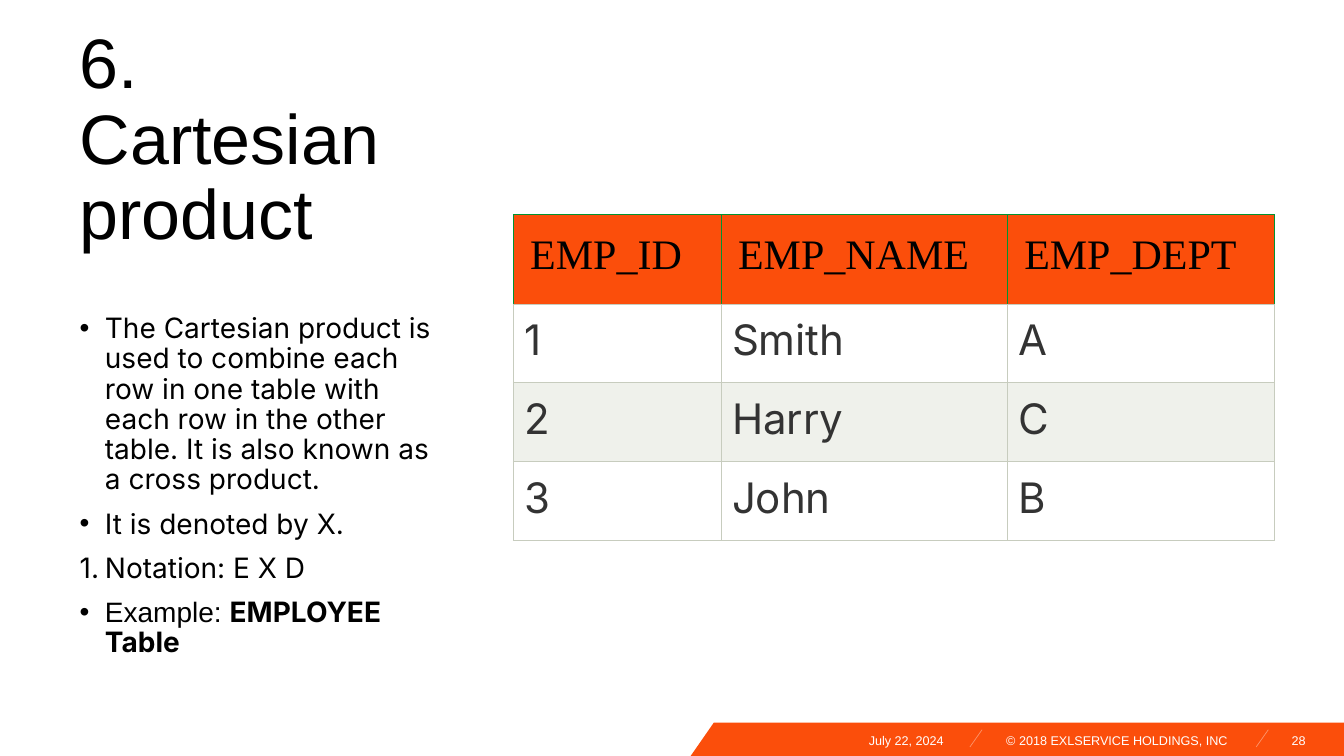
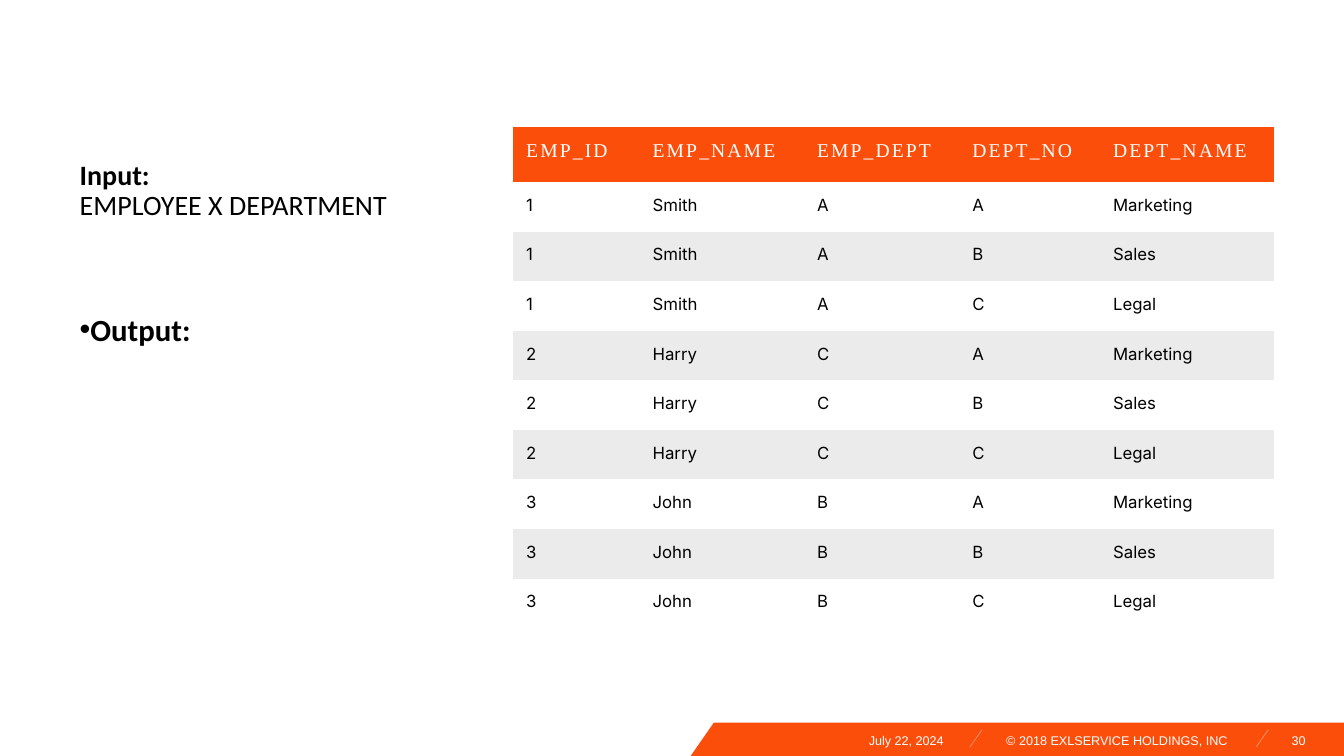
from lxml import etree
from pptx import Presentation
from pptx.dml.color import RGBColor
from pptx.enum.shapes import MSO_CONNECTOR
from pptx.enum.text import MSO_ANCHOR, MSO_AUTO_SIZE, PP_ALIGN
from pptx.oxml.ns import qn
from pptx.util import Inches, Pt

LEFT, RIGHT, JUST = PP_ALIGN.LEFT, PP_ALIGN.RIGHT, PP_ALIGN.JUSTIFY
TOP, BOTTOM = MSO_ANCHOR.TOP, MSO_ANCHOR.BOTTOM
FIXED = MSO_AUTO_SIZE.NONE
STRAIGHT = MSO_CONNECTOR.STRAIGHT
PLAIN = "{2D5ABB26-0587-4C30-8999-92F81FD0307C}"  # table style without grid

HUES = {
    "brand": "FB4E0B", "slash": "FC946B", "ink": "000000", "white": "FFFFFF",
    "text": "333333", "sage": "EFF1EB", "gray": "EBEBEB",
    "rule": "C7CCBE", "green": "009332",
}
RGB = {name: RGBColor.from_string(code) for name, code in HUES.items()}

deck = Presentation()
deck.slide_width, deck.slide_height = Inches(13.33), Inches(7.5)
WIDE, HIGH = deck.slide_width, deck.slide_height


def area(x, y, *size):
    """Turn percentages of the slide's width and height into lengths."""
    return [round(share * (HIGH if i % 2 else WIDE) / 100)
            for i, share in enumerate((x, y, *size))]


def write(frame, text, size=20, font="Arial", hue="ink", bold=False,
          align=LEFT, mark=None, hang=0, lead=1, gap=0, track=0, join=False):
    """Add a paragraph, or with join another run to the last one."""
    para = frame.paragraphs[-1]
    if not join:
        first = not para.runs
        if not first:
            para = frame.add_paragraph()
        para.alignment, para.line_spacing = align, lead
        para.space_before = Pt(0 if first else gap)
        if mark:
            props = para._p.get_or_add_pPr()
            props.set("marL", str(Inches(hang)))
            props.set("indent", str(-Inches(hang)))
            if mark == "1.":
                etree.SubElement(props, qn("a:buFontTx"))
                etree.SubElement(props, qn("a:buAutoNum"), type="arabicPeriod")
            else:
                etree.SubElement(props, qn("a:buChar"), char=mark)
    run = para.add_run()
    run.text = text
    run.font.size, run.font.name, run.font.bold = Pt(size), font, bold
    run.font.color.rgb = RGB[hue]
    if track:
        run._r.get_or_add_rPr().set("spc", str(track))


# Content of the two slides
staff = [("1", "Smith", "A"), ("2", "Harry", "C"), ("3", "John", "B")]
units = [("A", "Marketing"), ("B", "Sales"), ("C", "Legal")]
heads = ["EMP_ID", "EMP_NAME", "EMP_DEPT"]
body = dict(font="Inter", mark="•", hang=0.25, lead=0.9, gap=10)
input_style = dict(font="Calibri", lead=0.9)

pages = [
    dict(
        num="28", foot=0.05,
        title=[("6. Cartesian product", dict(size=50, lead=0.9))],
        list=[
            ("The Cartesian product is used to combine each row in one table "
             "with each row in the other table. It is also known as a cross "
             "product.", body),
            ("It is denoted by X.", body),
            ("Notation: E X D", {**body, "mark": "1."}),
            ("Example: ", {**body, "font": "Arial"}),
            ("EMPLOYEE Table", dict(font="Inter", bold=True, join=True)),
        ],
        rows=[heads, *staff], top=28.4, tall=(11.8, 10.43),
        cols=[27.3, 37.6, 35.1], pads=(0.17, 0.11), band="sage", grid=True,
        head=dict(size=30, font="Times New Roman"),
        cell=dict(size=30, font="Inter", hue="text", align=JUST),
    ),
    dict(
        num="30", foot=0.38,
        title=[("Input:", {**input_style, "bold": True}),
               ("EMPLOYEE X DEPARTMENT", input_style)],
        list=[("Output:", dict(size=22, font="Calibri", bold=True,
                               mark="•", lead=0.9))],
        rows=[heads + ["DEPT_NO", "DEPT_NAME"],
              *[man + unit for man in staff for unit in units]],
        top=16.8, tall=(7.28, 6.56),
        cols=[16.6, 21.6, 20.4, 18.5, 22.9], pads=(0.13, 0.13),
        band="gray", grid=False,
        head=dict(size=14, font="Times New Roman", hue="white", track=150),
        cell=dict(size=12, font="Inter", align=JUST),
    ),
]

for page in pages:
    slide = deck.slides.add_slide(deck.slide_layouts[1])
    shapes = slide.shapes

    # Footer band with slashes
    start, *rest = [area(*spot) for spot in
                    [(53.11, 95.6), (100, 95.6), (100, 100), (51.39, 100)]]
    path = shapes.build_freeform(*start)
    path.add_line_segments(rest, close=True)
    band = path.convert_to_shape()
    band.shadow.inherit = False
    band.fill.solid()
    band.fill.fore_color.rgb = RGB["brand"]
    band.line.fill.background()
    for x in (73.07, 94.37):
        slash = shapes.add_connector(
            STRAIGHT, *area(x, 96.53), *area(x - 0.9, 98.8))
        slash.line.color.rgb, slash.line.width = RGB["slash"], Pt(0.5)
        etree.SubElement(slash._element.spPr, qn("a:effectLst"))

    # Footer text
    for text, x, width, align in [
            ("July 22, 2024", 53.19, 17.03, RIGHT),
            (page["num"], 94.37, 2.78, RIGHT),
            ("© 2018 EXLSERVICE HOLDINGS, INC", 74.87, 17.03, LEFT)]:
        frame = shapes.add_textbox(*area(x, 96.93, width, 2)).text_frame
        frame.word_wrap = True
        frame.margin_left = frame.margin_right = 0
        frame.margin_top = frame.margin_bottom = 0
        write(frame, text, size=9, hue="white", align=align)

    # Title and list
    for holder, key, y, height, anchor in [
            (shapes.title, "title", 9.33, 25.07, BOTTOM),
            (slide.placeholders[1], "list", 40.93, 49.73, TOP)]:
        holder.left, holder.top, holder.width, holder.height = area(
            5.18, y, 28.13, height)
        frame = holder.text_frame
        frame.auto_size, frame.vertical_anchor = FIXED, anchor
        frame.word_wrap = True
        for text, style in page[key]:
            write(frame, text, **style)
    shapes.title.text_frame.margin_bottom = Inches(page["foot"])

    # Table
    rows, cols = page["rows"], page["cols"]
    first, other = page["tall"]
    total = first + other * (len(rows) - 1)
    spot = area(38.18, page["top"], 56.64, total)
    table = shapes.add_table(len(rows), len(cols), *spot).table
    table.first_row = table.horz_banding = False
    table._tbl.tblPr.find(qn("a:tableStyleId")).text = PLAIN
    for col, share in zip(table.columns, cols):
        col.width = round(spot[2] * share / 100)
    for r, row in enumerate(rows):
        table.rows[r].height = area(0, first if r == 0 else other)[1]
        pad = Inches(page["pads"][min(r, 1)])
        for c, text in enumerate(row):
            cell = table.cell(r, c)
            cell.margin_left = cell.margin_right = pad
            cell.margin_top = cell.margin_bottom = pad
            write(cell.text_frame, text, **page["cell" if r else "head"])
            for side in "LRTB" if page["grid"] else "":
                edge = etree.SubElement(cell._tc.get_or_add_tcPr(),
                                        qn("a:ln" + side), w=str(Pt(0.6)))
                paint = etree.SubElement(edge, qn("a:solidFill"))
                green = r == 0 and side != "B"
                etree.SubElement(paint, qn("a:srgbClr"),
                                 val=HUES["green" if green else "rule"])
            if r % 2 and r:
                cell.fill.background()
            else:
                cell.fill.solid()
                cell.fill.fore_color.rgb = RGB[page["band"] if r else "brand"]

deck.save("out.pptx")
